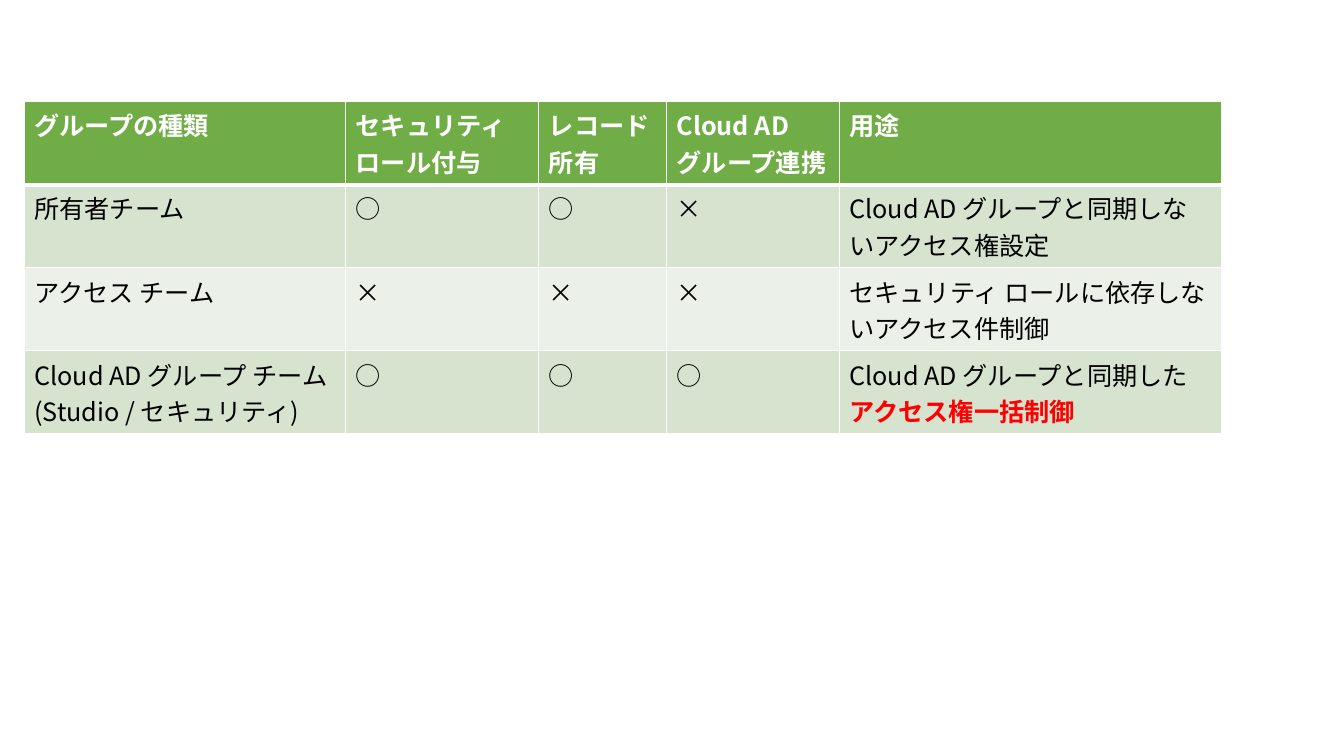
from lxml import etree
from pptx import Presentation
from pptx import util as u
from pptx.dml.color import RGBColor
from pptx.oxml import ns

WHITE = RGBColor(0xFF, 0xFF, 0xFF)
BLACK = RGBColor(0x00, 0x00, 0x00)
RED = RGBColor(0xFF, 0x00, 0x00)
GREEN = RGBColor(0x70, 0xAD, 0x47)
BAND_FILLS = (RGBColor(0xD5, 0xE3, 0xCF), RGBColor(0xEB, 0xF1, 0xE9))
FONT = "Noto Sans CJK JP"

COLUMN_WIDTHS = (8.1, 4.87, 3.22, 4.35, 9.64)
ROW_HEIGHT = 1.04
HEADER = ("グループの種類", "セキュリティ ロール付与", "レコード所有", "Cloud AD\nグループ連携", "用途")
TEAMS = (
    ("所有者チーム", "○", "○", "×", "Cloud AD グループと同期しないアクセス権設定"),
    ("アクセス チーム", "×", "×", "×", "セキュリティ ロールに依存しないアクセス件制御"),
    ("Cloud AD グループ チーム\n(Studio / セキュリティ)", "○", "○", "○", "Cloud AD グループと同期した"),
)
EMPHASIS = "アクセス権一括制御"


def add_run(paragraph, content, size=18, color=BLACK, bold=False):
    run = paragraph.add_run()
    run.text = content
    run.font.size = u.Pt(size)
    run.font.name = FONT
    run.font.color.rgb = color
    run.font.bold = bold
    east_asian = etree.SubElement(run.font._element, ns.qn("a:ea"))
    east_asian.set("typeface", FONT)


class SlideBuilder:
    def __init__(self, slide, border_color=WHITE):
        self.slide = slide
        self.border_color = border_color

    def table(self, left, top, height, widths, row_height, rows):
        frame = self.slide.shapes.add_table(
            len(rows), len(widths), u.Cm(left), u.Cm(top), u.Cm(sum(widths)), u.Cm(height)
        )
        table = frame.table
        for column, width in zip(table.columns, widths):
            column.width = u.Cm(width)
        for row_index, (row, values) in enumerate(zip(table.rows, rows)):
            row.height = u.Cm(row_height)
            for cell, content in zip(row.cells, values):
                self.cell(cell, content, row_index)
        return table

    def cell(self, cell, content, row_index):
        is_header = row_index == 0
        self.border(cell, "L", 1)
        self.border(cell, "R", 1)
        self.border(cell, "T", 3 if row_index == 1 else 1)
        self.border(cell, "B", 3 if is_header else 1)
        cell.fill.solid()
        cell.fill.fore_color.rgb = GREEN if is_header else BAND_FILLS[(row_index - 1) % 2]
        for index, line in enumerate(content.split("\n")):
            frame = cell.text_frame
            paragraph = frame.add_paragraph() if index else frame.paragraphs[0]
            add_run(paragraph, line, color=WHITE if is_header else BLACK, bold=is_header)

    def border(self, cell, side, width):
        properties = cell._tc.get_or_add_tcPr()
        line = etree.SubElement(properties, ns.qn(f"a:ln{side}"), w=str(u.Pt(width)))
        fill = etree.SubElement(line, ns.qn("a:solidFill"))
        etree.SubElement(fill, ns.qn("a:srgbClr"), val=str(self.border_color))


def main():
    presentation = Presentation()
    presentation.slide_width = u.Cm(33.87)
    presentation.slide_height = u.Cm(19.05)
    builder = SlideBuilder(presentation.slides.add_slide(presentation.slide_layouts[6]))
    table = builder.table(0.61, 2.56, 7.11, COLUMN_WIDTHS, ROW_HEIGHT, (HEADER, *TEAMS))
    purpose = table.cell(len(TEAMS), len(HEADER) - 1).text_frame.paragraphs[0]
    add_run(purpose, EMPHASIS, color=RED, bold=True)
    presentation.save("out.pptx")


if __name__ == "__main__":
    main()
